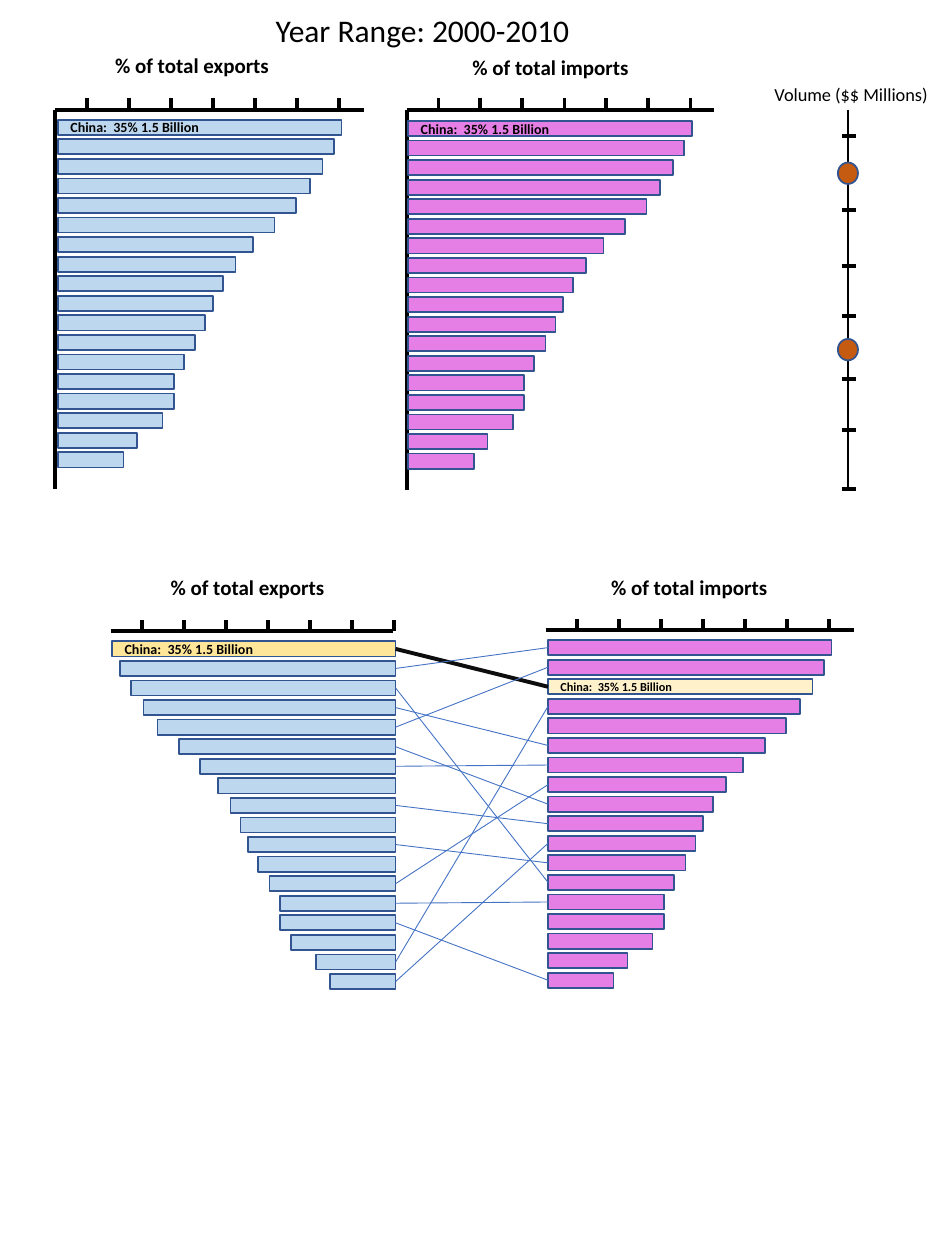
from pptx import Presentation
from pptx.dml.color import RGBColor
from pptx.enum.shapes import MSO_CONNECTOR, MSO_SHAPE
from pptx.enum.text import MSO_ANCHOR, MSO_AUTO_SIZE, PP_ALIGN
from pptx.oxml.ns import qn
from pptx.util import Inches, Pt
from lxml import etree

STRAIGHT = MSO_CONNECTOR.STRAIGHT
RECTANGLE, OVAL = MSO_SHAPE.RECTANGLE, MSO_SHAPE.OVAL
MIDDLE, GROW = MSO_ANCHOR.MIDDLE, MSO_AUTO_SIZE.SHAPE_TO_FIT_TEXT
LEFT, CENTER = PP_ALIGN.LEFT, PP_ALIGN.CENTER

COLORS = {
    "black": "000000", "outline": "325491", "exports": "BDD7EE",
    "imports": "CC00CC", "highlight": "FFE699", "marker": "C55A11",
    "link": "4472C4", "main link": "0D0D0D",
}
CHINA = "China:  35% 1.5 Billion"
BAR_WIDTHS = [2.25, 2.19, 2.1, 2, 1.89, 1.72, 1.55, 1.41, 1.31,
              1.23, 1.17, 1.09, 1, 0.92, 0.92, 0.83, 0.63, 0.52]
BAR_HEIGHT = 0.12
BAR_STEP = 2.64 / 17
TICK_STEP = 1 / 3

deck = Presentation()
deck.slide_width, deck.slide_height = Inches(7.5), Inches(10)
page = deck.slides.add_slide(deck.slide_layouts[6])


def add_line(x1, y1, x2, y2, color="black", width=2.25):
    line = page.shapes.add_connector(
        STRAIGHT, Inches(x1), Inches(y1), Inches(x2), Inches(y2))
    line.line.color.rgb = RGBColor.from_string(COLORS[color])
    line.line.width = Pt(width)
    etree.SubElement(line._element.spPr, qn("a:effectLst"))


def write(box, text, align, font):
    para = box.text_frame.paragraphs[0]
    para.alignment = align
    span = para.add_run()
    span.text = text
    span.font.color.rgb = RGBColor.from_string(COLORS["black"])
    for name, value in {"name": "Calibri", **font}.items():
        setattr(span.font, name, value)


heading = {"size": Pt(12), "bold": True}
labels = [
    ("Year Range: 2000-2010", 2.09, 0.04, 2.56, 0.4, LEFT, {"size": Pt(18)}),
    ("% of total exports", 0.36, 0.37, 2.33, 0.3, CENTER, heading),
    ("% of total imports", 3.13, 0.38, 2.48, 0.3, CENTER, heading),
    ("Volume ($$ Millions)", 6.01, 0.61, 1.49, 0.28, CENTER, {"size": Pt(10.5)}),
    ("% of total exports", 0.8, 4.51, 2.33, 0.3, CENTER, heading),
    ("% of total imports", 4.23, 4.51, 2.48, 0.3, CENTER, heading),
]
for text, left, top, width, height, align, font in labels:
    box = page.shapes.add_textbox(
        Inches(left), Inches(top), Inches(width), Inches(height))
    box.text_frame.word_wrap = align == CENTER
    box.text_frame.auto_size = GROW
    write(box, text, align, font)

panels = [
    {"axis": (0.44, 2.89, 0.87), "bars": (0.46, 0.95), "color": "exports",
     "side": "left", "bottom": 3.88, "china": 0, "china color": "exports", "size": 8},
    {"axis": (3.23, 5.67, 0.87), "bars": (3.24, 0.96), "color": "imports",
     "side": "left", "bottom": 3.89, "china": 0, "china color": "imports", "size": 8},
    {"axis": (0.88, 3.12, 5.01), "bars": (3.14, 5.09), "color": "exports",
     "side": "right", "bottom": None, "china": 0, "china color": "highlight", "size": 8},
    {"axis": (4.33, 6.78, 5), "bars": (4.35, 5.08), "color": "imports",
     "side": "left", "bottom": None, "china": 2, "china color": "highlight", "size": 7},
]
for panel in panels:
    start, end, axis_y = panel["axis"]
    add_line(start, axis_y, end, axis_y)
    if panel["bottom"]:
        add_line(start, axis_y, start, panel["bottom"])
    for tick in range(7):
        x = start + 0.25 + tick * TICK_STEP
        add_line(x, axis_y, x, axis_y - 0.09)

    edge, first_top = panel["bars"]
    for row, width in enumerate(BAR_WIDTHS):
        left = edge - width if panel["side"] == "right" else edge
        bar = page.shapes.add_shape(
            RECTANGLE, Inches(left), Inches(first_top + row * BAR_STEP),
            Inches(width), Inches(BAR_HEIGHT))
        is_china = row == panel["china"]
        color = panel["china color"] if is_china else panel["color"]
        bar.shadow.inherit = False
        bar.fill.solid()
        bar.fill.fore_color.rgb = RGBColor.from_string(COLORS[color])
        if panel["color"] == "imports":
            tint = bar._element.spPr.find(qn("a:solidFill"))[0]
            etree.SubElement(tint, qn("a:alpha")).set("val", "50000")
        bar.line.color.rgb = RGBColor.from_string(COLORS["outline"])
        bar.line.width = Pt(1)
        if is_china:
            bar.text_frame.vertical_anchor = MIDDLE
            write(bar, CHINA, LEFT, {"size": Pt(panel["size"]), "bold": True})

add_line(6.73, 0.87, 6.73, 3.89, width=1.5)
for y in (1.08, 1.67, 2.11, 2.51, 3.01, 3.41, 3.88):
    add_line(6.68, y, 6.79, y)
for top in (1.29, 2.69):
    marker = page.shapes.add_shape(
        OVAL, Inches(6.65), Inches(top), Inches(0.16), Inches(0.17))
    marker.shadow.inherit = False
    marker.fill.solid()
    marker.fill.fore_color.rgb = RGBColor.from_string(COLORS["marker"])
    marker.line.color.rgb = RGBColor.from_string(COLORS["outline"])
    marker.line.width = Pt(1)

links = [(0, 2), (2, 12), (5, 8), (8, 9), (1, 0), (3, 5), (17, 10),
         (16, 3), (10, 11), (12, 7), (14, 17), (13, 13), (6, 6), (4, 1)]
for export_row, import_row in links:
    color, width = ("main link", 2.25) if export_row == 0 else ("link", 0.5)
    add_line(3.14, 5.15 + export_row * BAR_STEP,
             4.35, 5.14 + import_row * BAR_STEP, color, width)

deck.save("out.pptx")
